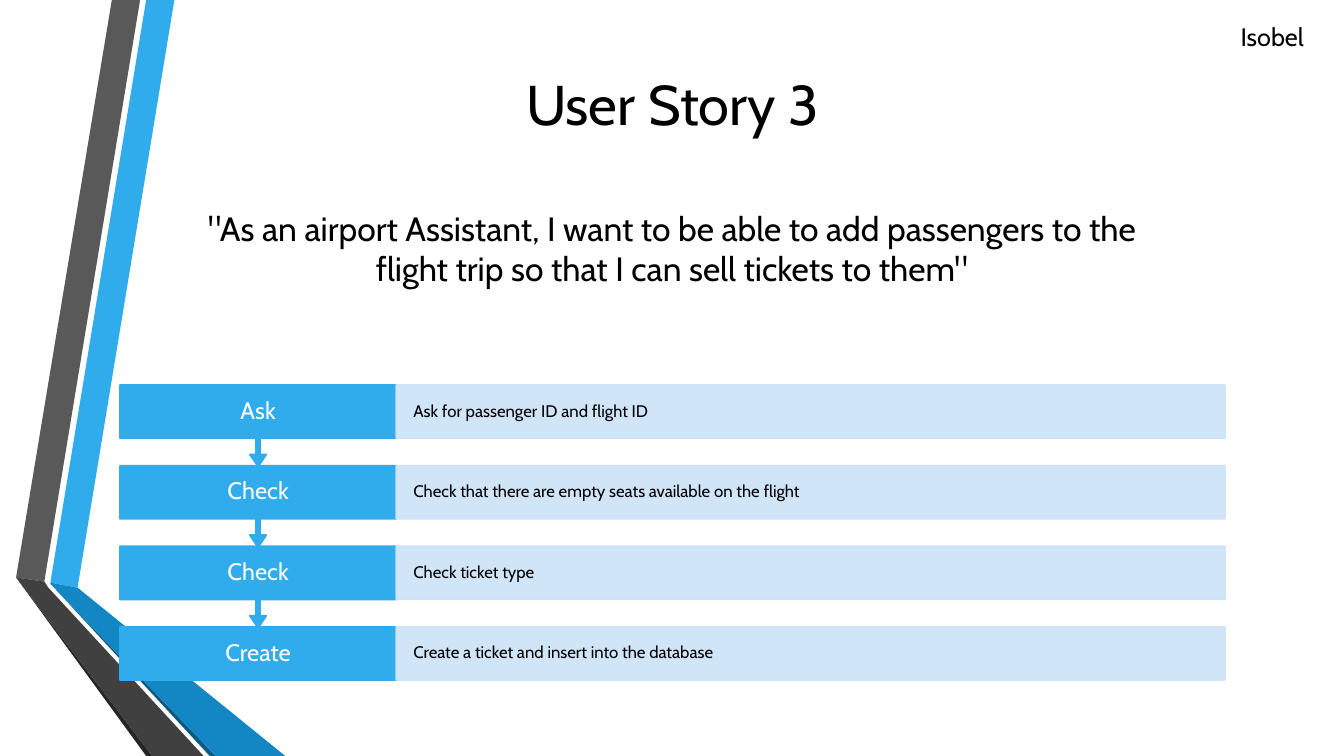
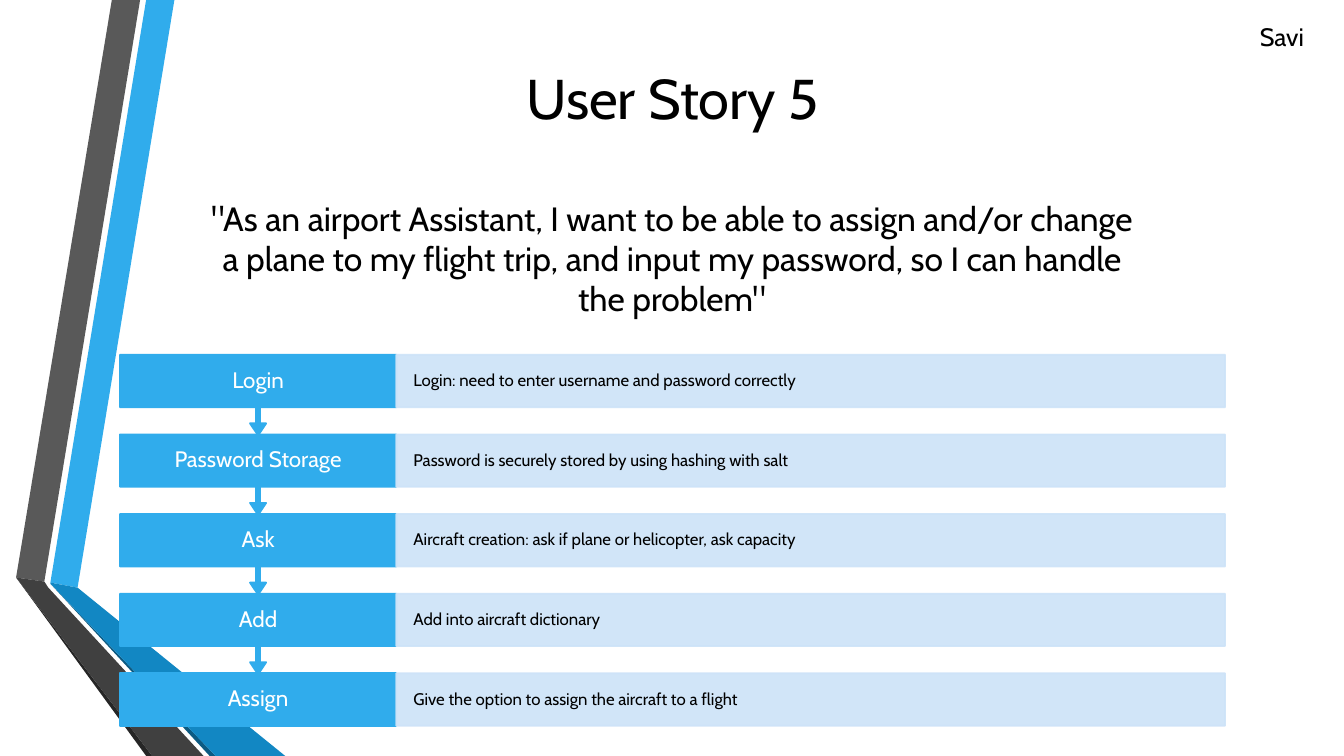
from lxml.etree import SubElement
from pptx import Presentation
from pptx.dml.color import RGBColor
from pptx.enum.shapes import MSO_SHAPE
from pptx.enum.text import MSO_ANCHOR, PP_ALIGN
from pptx.oxml.ns import qn
from pptx.util import Inches, Pt

WIDTH, HEIGHT = 13.33, 7.5
FONT = "Cabin"
BLACK, WHITE = "000000", "FFFFFF"
BLUE, PALE = "30ACEC", "CDE3F8"
LEFT, CONTENT_WIDTH = 1.19, 10.96
LABEL_SHARE = 0.25   # label column within the flow
BOX_SHARE = 0.65     # box part of an arrow callout
OVERLAP = 0.01       # arrow tip over the next row

# Ribbon facets, back to front: colour and outline
RIBBONS = [
    (BLUE, [(0.5, 5.78), (0.77, 5.83), (1.73, 0), (1.45, 0)]),
    ("595959", [(1.39, 0), (1.11, 0), (0.16, 5.73), (0.44, 5.77)]),
    ("262626", [(0.16, 5.73), (1.45, 7.5), (1.51, 7.5)]),
    ("0C5A82", [(0.5, 5.79), (2.08, 7.5), (2.14, 7.5)]),
    ("1287C3", [(0.5, 5.79), (2.14, 7.5), (2.83, 7.5), (0.77, 5.83), (0.5, 5.78)]),
    ("404040", [(2.02, 7.5), (0.48, 5.83), (0.44, 5.77), (0.16, 5.73), (1.51, 7.5)]),
]

STORIES = [
    dict(title="User Story 3", title_top=0.36, author="Isobel",
         quote='"As an airport Assistant, I want to be able to add passengers to the '
               'flight trip so that I can sell tickets to them"',
         quote_top=2.01, quote_height=0.91,
         flow_top=3.82, callout_height=0.81, label_size=17,
         steps=[("Ask", "Ask for passenger ID and flight ID"),
                ("Check", "Check that there are empty seats available on the flight"),
                ("Check", "Check ticket type"),
                ("Create", "Create a ticket and insert into the database")]),
    dict(title="User Story 5", title_top=0.3, author="Savi",
         quote='"As an airport Assistant, I want to be able to assign and/or change '
               'a plane to my flight trip, and input my password, so I can handle '
               'the problem"',
         quote_top=1.91, quote_height=1.31,
         flow_top=3.52, callout_height=0.8, label_size=16,
         steps=[("Login", "Login: need to enter username and password correctly"),
                ("Password Storage", "Password is securely stored by using hashing with salt"),
                ("Ask", "Aircraft creation: ask if plane or helicopter, ask capacity"),
                ("Add", "Add into aircraft dictionary"),
                ("Assign", "Give the option to assign the aircraft to a flight")]),
]


def rgb(color):
    return RGBColor.from_string(color)


def box_emu(box):
    return [Inches(v) for v in box]


def set_text(sp, text, size, color, align, anchor):
    tf = sp.text_frame
    tf.word_wrap = True
    tf.vertical_anchor = anchor
    p = tf.paragraphs[0]
    p.text = text
    p.alignment = align
    p.font.name = FONT
    p.font.size = Pt(size)
    p.font.color.rgb = rgb(color)
    return p


def add_text(slide, box, text, size, align, anchor=MSO_ANCHOR.TOP):
    sp = slide.shapes.add_textbox(*box_emu(box))
    set_text(sp, text, size, BLACK, align, anchor)


def add_ribbons(slide):
    for color, points in RIBBONS:
        start, *rest = [(Inches(x), Inches(y)) for x, y in points]
        builder = slide.shapes.build_freeform(*start)
        builder.add_line_segments(rest)
        sp = builder.convert_to_shape()
        sp.shadow.inherit = False
        sp.fill.solid()
        sp.fill.fore_color.rgb = rgb(color)
        sp.line.fill.background()


def add_panel(slide, kind, box, color, text, size, text_color, align, inset):
    sp = slide.shapes.add_shape(kind, *box_emu(box))
    sp.shadow.inherit = False
    sp.fill.solid()
    sp.fill.fore_color.rgb = rgb(color)
    sp.line.color.rgb = rgb(color)
    sp.line.width = Pt(1.25)
    p = set_text(sp, text, size, text_color, align, MSO_ANCHOR.MIDDLE)
    p.line_spacing = 0.9
    tf = sp.text_frame
    tf.margin_left = tf.margin_right = Inches(inset)
    return sp


def set_opacity(sp, percent):
    """Apply one opacity to the fill and the line."""
    for clr in sp._element.spPr.iter(qn("a:srgbClr")):
        SubElement(clr, qn("a:alpha")).set("val", str(percent * 1000))


def add_flow(slide, left, top, width, callout_height, steps, label_size):
    """Stack label and description rows; an arrow leads from each to the next."""
    label_width = width * LABEL_SHARE
    row_height = callout_height * BOX_SHARE
    for i, (label, description) in enumerate(steps):
        y = top + i * (callout_height - OVERLAP)
        last = i == len(steps) - 1
        kind = MSO_SHAPE.RECTANGLE if last else MSO_SHAPE.DOWN_ARROW_CALLOUT
        height = row_height if last else callout_height
        sp = add_panel(slide, kind, (left, y, label_width, height), BLUE,
                       label, label_size, WHITE, PP_ALIGN.CENTER, 0.19)
        if not last:
            for n, value in enumerate((0.05, 0.1, 0.15, BOX_SHARE)):
                sp.adjustments[n] = value
        sp = add_panel(slide, MSO_SHAPE.RECTANGLE,
                       (left + label_width, y, width - label_width, row_height),
                       PALE, description, 12, BLACK, PP_ALIGN.LEFT, 0.17)
        set_opacity(sp, 90)


def add_story(prs, story):
    slide = prs.slides.add_slide(prs.slide_layouts[6])
    add_ribbons(slide)
    add_text(slide, (LEFT, story["title_top"], CONTENT_WIDTH, 1.32), story["title"],
             40, PP_ALIGN.CENTER, MSO_ANCHOR.MIDDLE)
    add_text(slide, (1.94, story["quote_top"], 9.45, story["quote_height"]),
             story["quote"], 24, PP_ALIGN.CENTER)
    add_text(slide, (10.92, 0.16, 2.11, 0.4), story["author"], 18, PP_ALIGN.RIGHT)
    add_flow(slide, LEFT, story["flow_top"], CONTENT_WIDTH,
             story["callout_height"], story["steps"], story["label_size"])


def main():
    prs = Presentation()
    prs.slide_width, prs.slide_height = Inches(WIDTH), Inches(HEIGHT)
    for story in STORIES:
        add_story(prs, story)
    prs.save("out.pptx")


if __name__ == "__main__":
    main()
